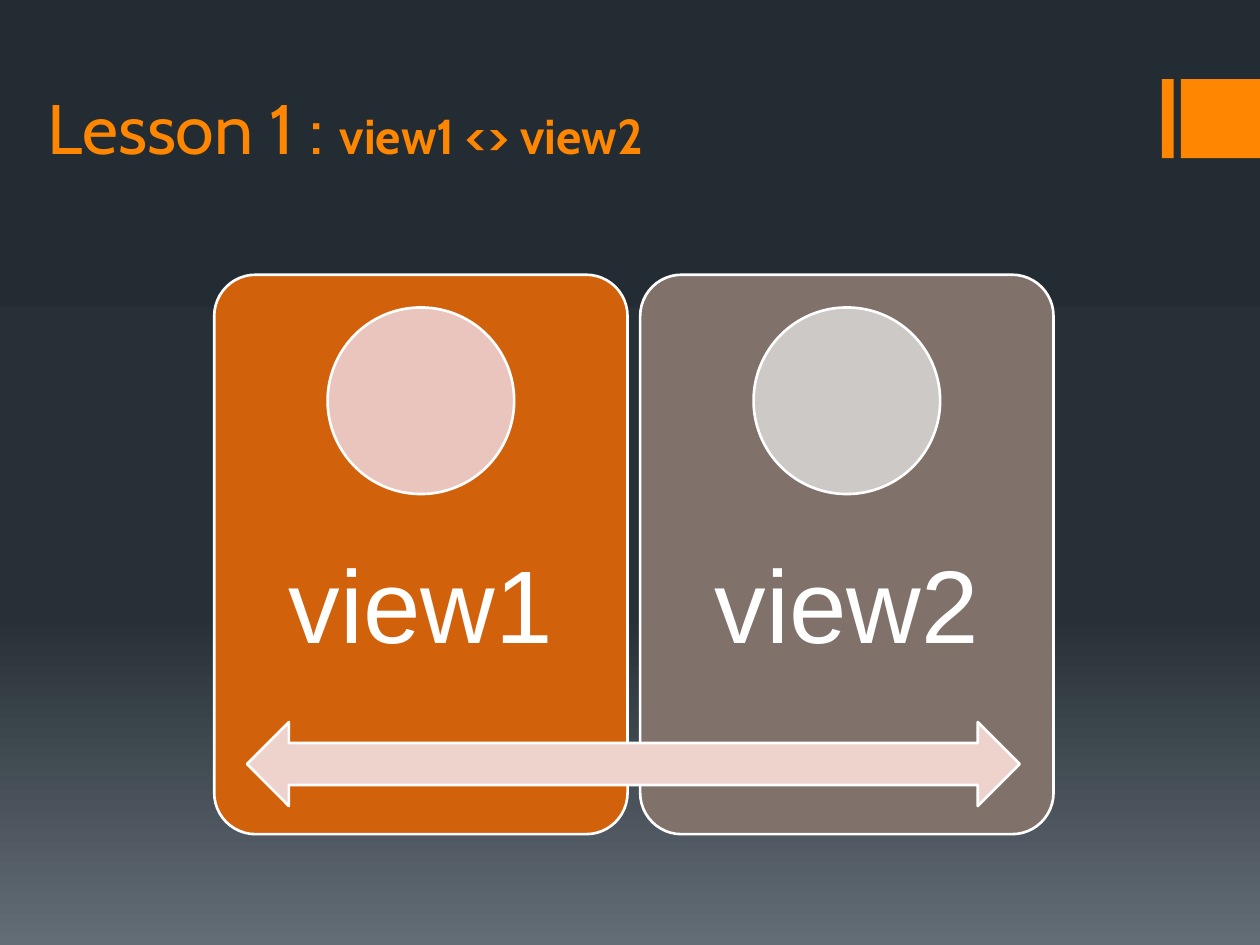
from copy import deepcopy

from pptx import Presentation
from pptx.dml.color import RGBColor
from pptx.enum.shapes import MSO_SHAPE
from pptx.enum.text import MSO_ANCHOR, MSO_AUTO_SIZE, PP_ALIGN
from pptx.oxml.ns import qn
from pptx.util import Pt

RECTANGLE, ROUNDED = MSO_SHAPE.RECTANGLE, MSO_SHAPE.ROUNDED_RECTANGLE
OVAL, DOUBLE_ARROW = MSO_SHAPE.OVAL, MSO_SHAPE.LEFT_RIGHT_ARROW
MIDDLE, BOTTOM = MSO_ANCHOR.MIDDLE, MSO_ANCHOR.BOTTOM
LEFT, CENTER = PP_ALIGN.LEFT, PP_ALIGN.CENTER
NO_AUTOFIT = MSO_AUTO_SIZE.NONE
TITLE_ONLY = 5

WHITE = RGBColor(0xFF, 0xFF, 0xFF)
ACCENT = RGBColor(0xFF, 0x86, 0x00)
ORANGE = RGBColor(0xD2, 0x61, 0x0C)
TAUPE = RGBColor(0x80, 0x71, 0x6A)
PINK = RGBColor(0xEA, 0xC5, 0xBD)
GREY = RGBColor(0xCD, 0xC9, 0xC7)
PALE_PINK = RGBColor(0xEE, 0xD2, 0xCC)
NIGHT = RGBColor(0x24, 0x2C, 0x33)
SLATE = RGBColor(0x27, 0x30, 0x37)
MIST = RGBColor(0x63, 0x6D, 0x76)

CARD_LEFT, CARD_TOP, CARD_WIDTH, CARD_HEIGHT = 122.4, 157, 236.2, 319.7
CARD_PITCH = 243.4
CIRCLE_TOP, CIRCLE_SIZE = 175.7, 106.6
LABEL_TOP, LABEL_HEIGHT, LABEL_INSET = 284.4, 128.2, 33


def set_all(target, values):
    for name, value in values.items():
        setattr(target, name, value)


class SlideBuilder:
    title_font = "Cabin"
    label_font = "Arial"
    outline = 1.5

    def __init__(self, slide):
        self.slide = slide

    def background(self, stops):
        """Fill the page from top to bottom with (position, colour) stops."""
        fill = self.slide.background.fill
        fill.gradient()
        fill.gradient_angle = 270
        first = next(self.slide.element.iter(qn("a:gs")))
        for _ in range(len(stops) - len(fill.gradient_stops)):
            first.addnext(deepcopy(first))
        for stop, (position, color) in zip(fill.gradient_stops, stops):
            stop.position = position
            stop.color.rgb = color

    def shape(self, kind, left, top, width, height, color, outlined=True):
        shape = self.slide.shapes.add_shape(
            kind, Pt(left), Pt(top), Pt(width), Pt(height))
        shape.shadow.inherit = False
        shape.fill.solid()
        shape.fill.fore_color.rgb = color
        if outlined:
            shape.line.color.rgb = WHITE
            shape.line.width = Pt(self.outline)
        else:
            shape.line.fill.background()
        return shape

    def span(self, para, text, **font):
        run = para.add_run()
        run.text = text
        color = font.pop("color")
        set_all(run.font, font)
        run.font.color.rgb = color

    def title(self, left, top, width, height, spans):
        """Place the title; spans holds (text, size, bold)."""
        title = self.slide.shapes.title
        set_all(title, {"left": Pt(left), "top": Pt(top),
                        "width": Pt(width), "height": Pt(height)})
        set_all(title.text_frame, {"vertical_anchor": BOTTOM, "word_wrap": True,
                                   "auto_size": NO_AUTOFIT})
        para = title.text_frame.paragraphs[0]
        para.alignment = LEFT
        for text, size, bold in spans:
            self.span(para, text, size=Pt(size), bold=bold,
                      name=self.title_font, color=ACCENT)

    def label(self, left, top, width, height, text):
        box = self.slide.shapes.add_textbox(
            Pt(left), Pt(top), Pt(width), Pt(height))
        inset = Pt(LABEL_INSET)
        set_all(box.text_frame, {
            "word_wrap": True, "vertical_anchor": MIDDLE,
            "margin_left": inset, "margin_right": inset,
            "margin_top": inset, "margin_bottom": inset})
        para = box.text_frame.paragraphs[0]
        set_all(para, {"alignment": CENTER, "line_spacing": 0.9})
        self.span(para, text, size=Pt(59), name=self.label_font, color=WHITE)

    def view_card(self, left, text, color, circle_color):
        card = self.shape(ROUNDED, left, CARD_TOP, CARD_WIDTH, CARD_HEIGHT, color)
        card.adjustments[0] = 0.1
        self.label(left, LABEL_TOP, CARD_WIDTH, LABEL_HEIGHT, text)
        self.shape(OVAL, left + (CARD_WIDTH - CIRCLE_SIZE) / 2, CIRCLE_TOP,
                   CIRCLE_SIZE, CIRCLE_SIZE, circle_color)


def main():
    deck = Presentation()
    deck.slide_width, deck.slide_height = Pt(720), Pt(540)
    page = SlideBuilder(deck.slides.add_slide(deck.slide_layouts[TITLE_ONLY]))

    page.background([(0, NIGHT), (0.65, SLATE), (1, MIST)])
    for left, width in ((664, 6.7), (674.8, 45.2)):
        page.shape(RECTANGLE, left, 45.2, width, 45.2, ACCENT, outlined=False)
    page.title(20.2, 20.9, 627, 79.2,
               [("Lesson 1 : ", 40, False), ("view1 <> view2", 28, True)])

    cards = [("view1", ORANGE, PINK), ("view2", TAUPE, GREY)]
    for index, (text, color, circle_color) in enumerate(cards):
        page.view_card(CARD_LEFT + index * CARD_PITCH, text, color, circle_color)
    page.shape(DOUBLE_ARROW, 141.1, 412.6, 441.6, 48, PALE_PINK)

    deck.save("out.pptx")


if __name__ == "__main__":
    main()
